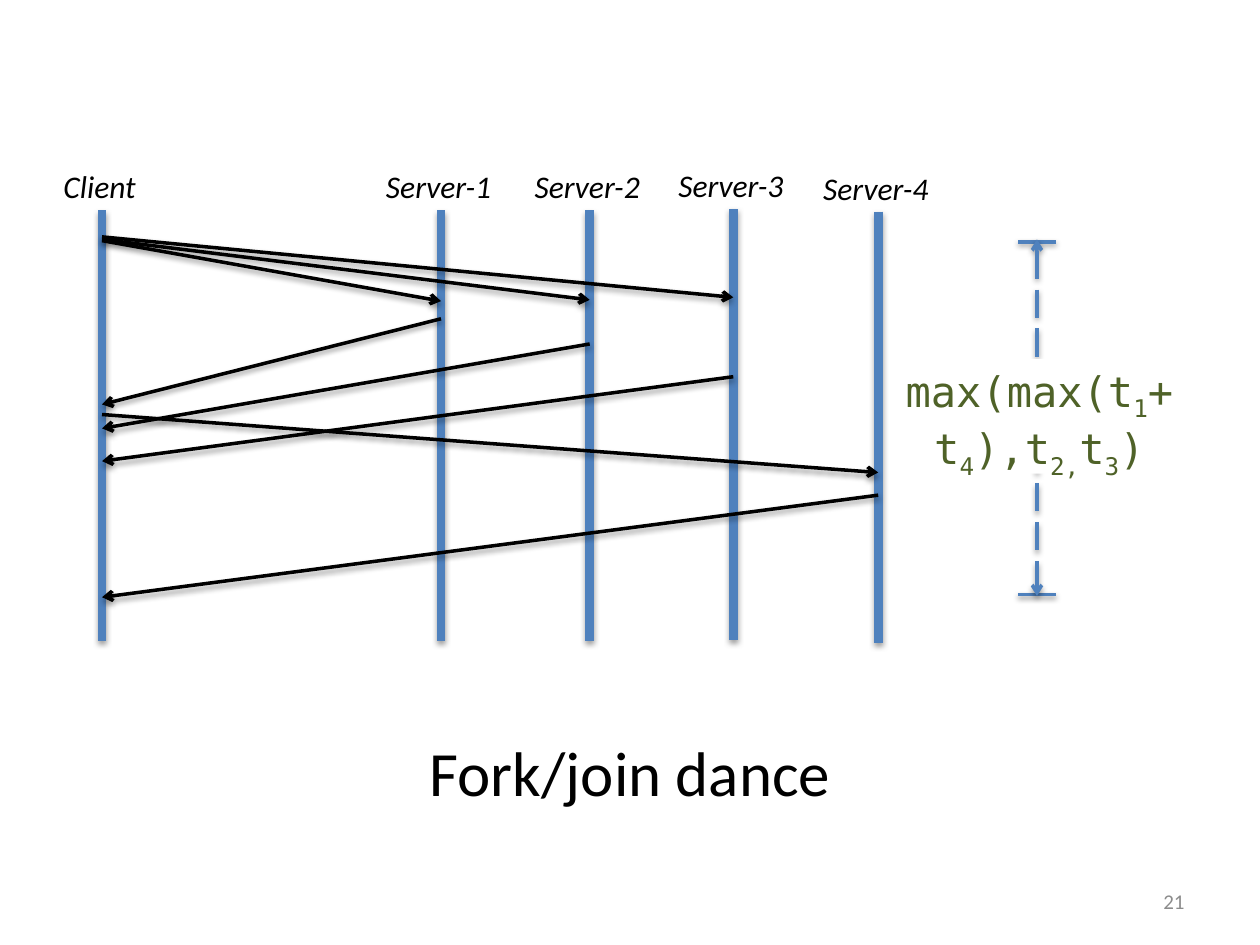
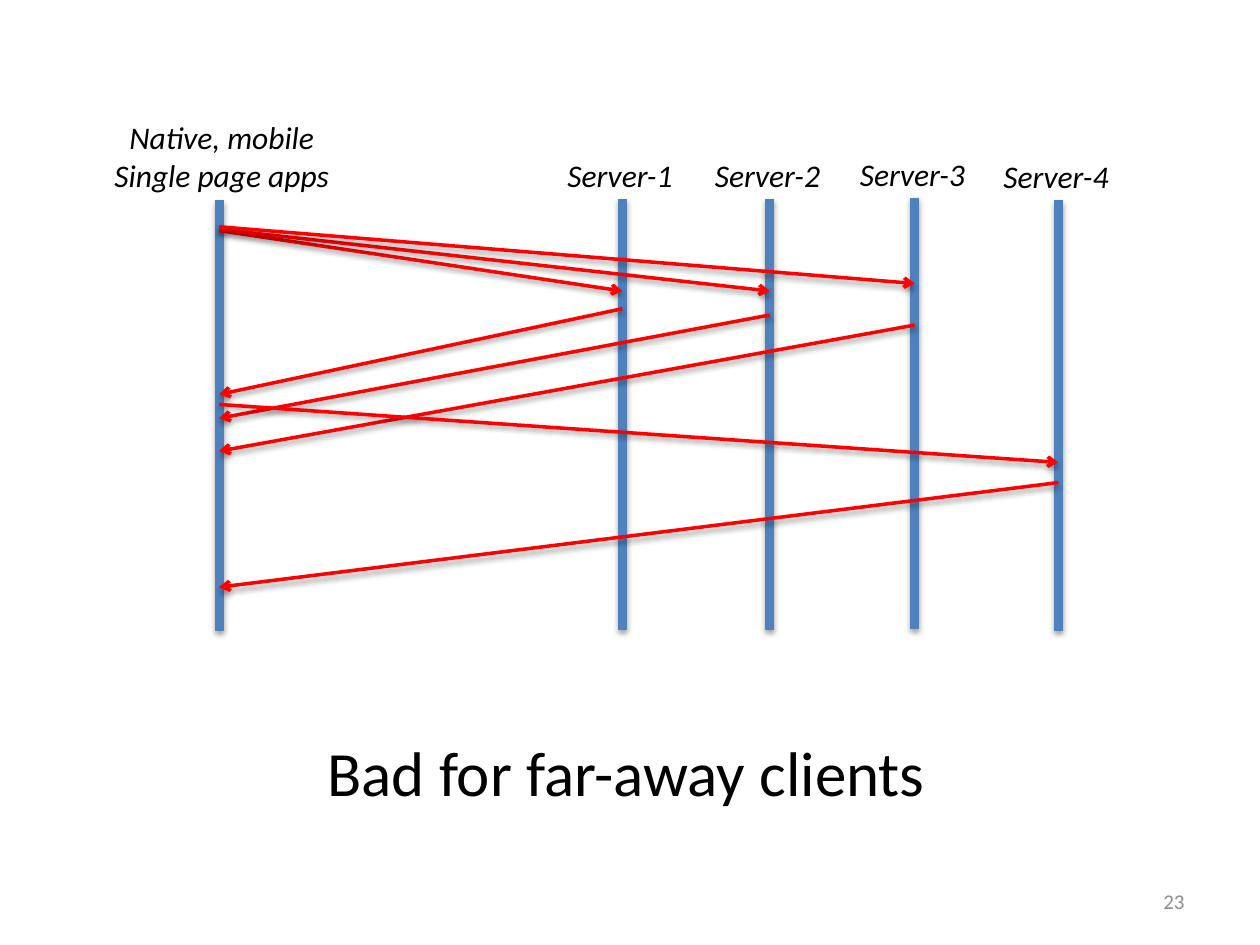
import pptx
import pptx.dml.color
import pptx.enum.dml
import pptx.enum.shapes
import pptx.enum.text
import pptx.util
from lxml import etree
from pptx.oxml.ns import qn

Inches = pptx.util.Inches
ALIGN = pptx.enum.text.PP_ALIGN
MIDDLE = pptx.enum.text.MSO_ANCHOR.MIDDLE
COLOURS = {"lane": "4F81BD", "black": "000000", "red": "FF0000",
           "formula": "4F6228", "number": "8C8C8C", "white": "FFFFFF"}
BODY_FONT, CODE_FONT = "Calibri", "DejaVu Sans Mono"
LANE_HEIGHT = 3.42
SERVER_WIDTH = 1.11

# Lanes: label lines, x, top, label width
# Messages: sending lane, y, receiving lane, y
SLIDES = [
    {
        "title": "Fork/join dance", "title_left": 0.5, "number": "21",
        "message_colour": "black",
        "lanes": [
            (["Client"], 0.81, 1.67, 0.85),
            (["Server-1"], 3.5, 1.67, SERVER_WIDTH),
            (["Server-2"], 4.68, 1.67, SERVER_WIDTH),
            (["Server-3"], 5.82, 1.66, SERVER_WIDTH),
            (["Server-4"], 6.97, 1.68, SERVER_WIDTH),
        ],
        "messages": [
            (0, 1.91, 1, 2.39), (0, 1.9, 2, 2.38), (0, 1.88, 3, 2.36),
            (1, 2.53, 0, 3.21), (2, 2.73, 0, 3.4), (3, 2.99, 0, 3.66),
            (0, 3.29, 4, 3.75), (4, 3.93, 0, 4.74),
        ],
        # Runs of text and whether each is a subscript
        "formula": [
            [("max(max(t", False), ("1", True), ("+", False)],
            [("t", False), ("4", True), ("),t", False), ("2,", True),
             ("t", False), ("3", True), (")", False)],
        ],
    },
    {
        "title": "Bad for far-away clients", "title_left": 0.47, "number": "23",
        "message_colour": "red",
        "lanes": [
            (["Native, mobile", "Single page apps"], 1.74, 1.59, 1.99),
            (["Server-1"], 4.94, 1.58, SERVER_WIDTH),
            (["Server-2"], 6.11, 1.58, SERVER_WIDTH),
            (["Server-3"], 7.26, 1.57, SERVER_WIDTH),
            (["Server-4"], 8.4, 1.59, SERVER_WIDTH),
        ],
        "messages": [
            (0, 1.83, 1, 2.31), (0, 1.82, 2, 2.31), (0, 1.8, 3, 2.25),
            (1, 2.45, 0, 3.13), (2, 2.5, 0, 3.32), (3, 2.58, 0, 3.58),
            (0, 3.21, 4, 3.67), (4, 3.83, 0, 4.66),
        ],
        "formula": None,
    },
]


def add_line(slide, x1, y1, x2, y2, colour, width, arrow_ends=()):
    """Draw a straight line; its soft shadow comes from the theme."""
    line = slide.shapes.add_connector(
        pptx.enum.shapes.MSO_CONNECTOR.STRAIGHT,
        Inches(x1), Inches(y1), Inches(x2), Inches(y2))
    line.line.color.rgb = pptx.dml.color.RGBColor.from_string(COLOURS[colour])
    line.line.width = pptx.util.Pt(width)
    if len(arrow_ends) == 2:
        line.line.dash_style = pptx.enum.dml.MSO_LINE.LONG_DASH
    for end in arrow_ends:
        etree.SubElement(line.line._get_or_add_ln(), qn(f"a:{end}"), type="arrow")


def write_text(frame, paragraphs, size, colour, align, font=BODY_FONT, italic=False):
    """Fill a text frame with paragraphs of (text, subscript) runs."""
    for index, runs in enumerate(paragraphs):
        paragraph = frame.paragraphs[0] if index == 0 else frame.add_paragraph()
        paragraph.alignment = align
        for text, subscript in runs:
            run = paragraph.add_run()
            run.text = text
            run.font.name = font
            run.font.size = pptx.util.Pt(size)
            run.font.italic = italic
            run.font.color.rgb = pptx.dml.color.RGBColor.from_string(COLOURS[colour])
            if subscript:
                run._r.get_or_add_rPr().set("baseline", "-25000")


deck = pptx.Presentation()
deck.slide_width, deck.slide_height = Inches(10), Inches(7.5)

for content in SLIDES:
    slide = deck.slides.add_slide(deck.slide_layouts[5])
    lanes = content["lanes"]

    # Title below the diagram
    title = slide.shapes.title
    title.left, title.top = Inches(content["title_left"]), Inches(5.5)
    title.width, title.height = Inches(9), Inches(1.25)
    title.text_frame.vertical_anchor = MIDDLE
    write_text(title.text_frame, [[(content["title"], False)]], 36, "black", ALIGN.CENTER)

    # Slide number
    number = slide.shapes.add_textbox(Inches(7.17), Inches(6.95), Inches(2.33), Inches(0.4))
    number.text_frame.word_wrap = True
    number.text_frame.vertical_anchor = MIDDLE
    write_text(number.text_frame, [[(content["number"], False)]], 12, "number", ALIGN.RIGHT)

    # Total time span with its formula
    if content["formula"]:
        for y in (1.92, 4.72):
            add_line(slide, 8.08, y, 8.38, y, "lane", 2)
        add_line(slide, 8.23, 1.9, 8.23, 4.73, "lane", 2, ("headEnd", "tailEnd"))
        formula = slide.shapes.add_textbox(Inches(6.98), Inches(2.85), Inches(2.54), Inches(0.91))
        formula.fill.solid()
        formula.fill.fore_color.rgb = pptx.dml.color.RGBColor.from_string(COLOURS["white"])
        formula.text_frame.word_wrap = True
        formula.text_frame.auto_size = pptx.enum.text.MSO_AUTO_SIZE.SHAPE_TO_FIT_TEXT
        write_text(formula.text_frame, content["formula"], 24, "formula",
                   ALIGN.CENTER, font=CODE_FONT)

    # Lifelines with their labels standing on top
    for label_lines, x, top, label_width in lanes:
        add_line(slide, x, top, x, top + LANE_HEIGHT, "lane", 5)
        label_height = 0.09 + 0.31 * len(label_lines)
        label = slide.shapes.add_textbox(
            Inches(x - label_width / 2 + 0.02), Inches(top - label_height + 0.01),
            Inches(label_width), Inches(label_height))
        label.text_frame.word_wrap = False
        label.text_frame.auto_size = pptx.enum.text.MSO_AUTO_SIZE.SHAPE_TO_FIT_TEXT
        write_text(label.text_frame, [[(line, False)] for line in label_lines], 18, "black",
                   ALIGN.CENTER if len(label_lines) > 1 else ALIGN.LEFT, italic=True)

    # Requests and replies
    for sender, sent_y, receiver, received_y in content["messages"]:
        add_line(slide, lanes[sender][1], sent_y, lanes[receiver][1], received_y,
                 content["message_colour"], 2, ("tailEnd",))

deck.save("out.pptx")
